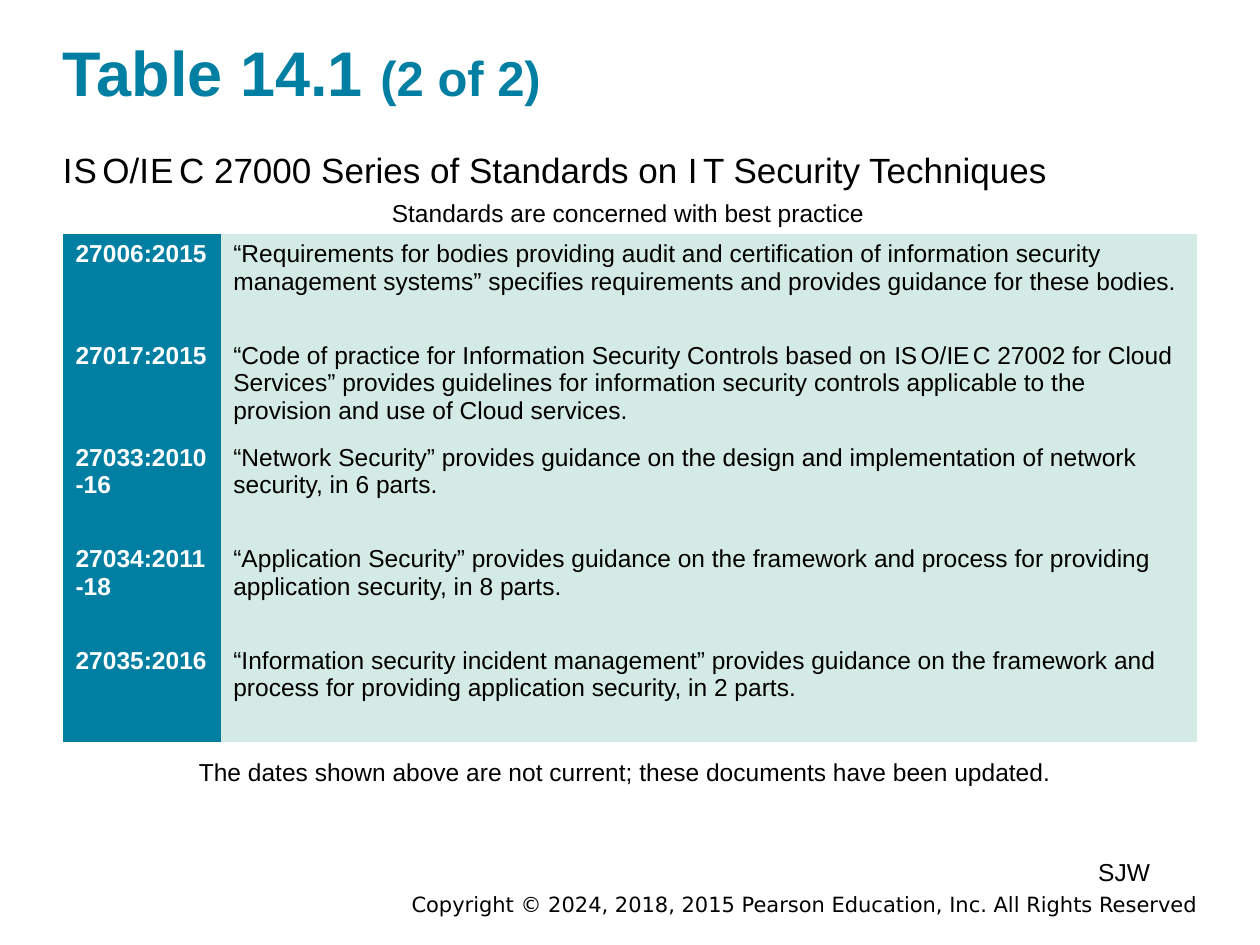
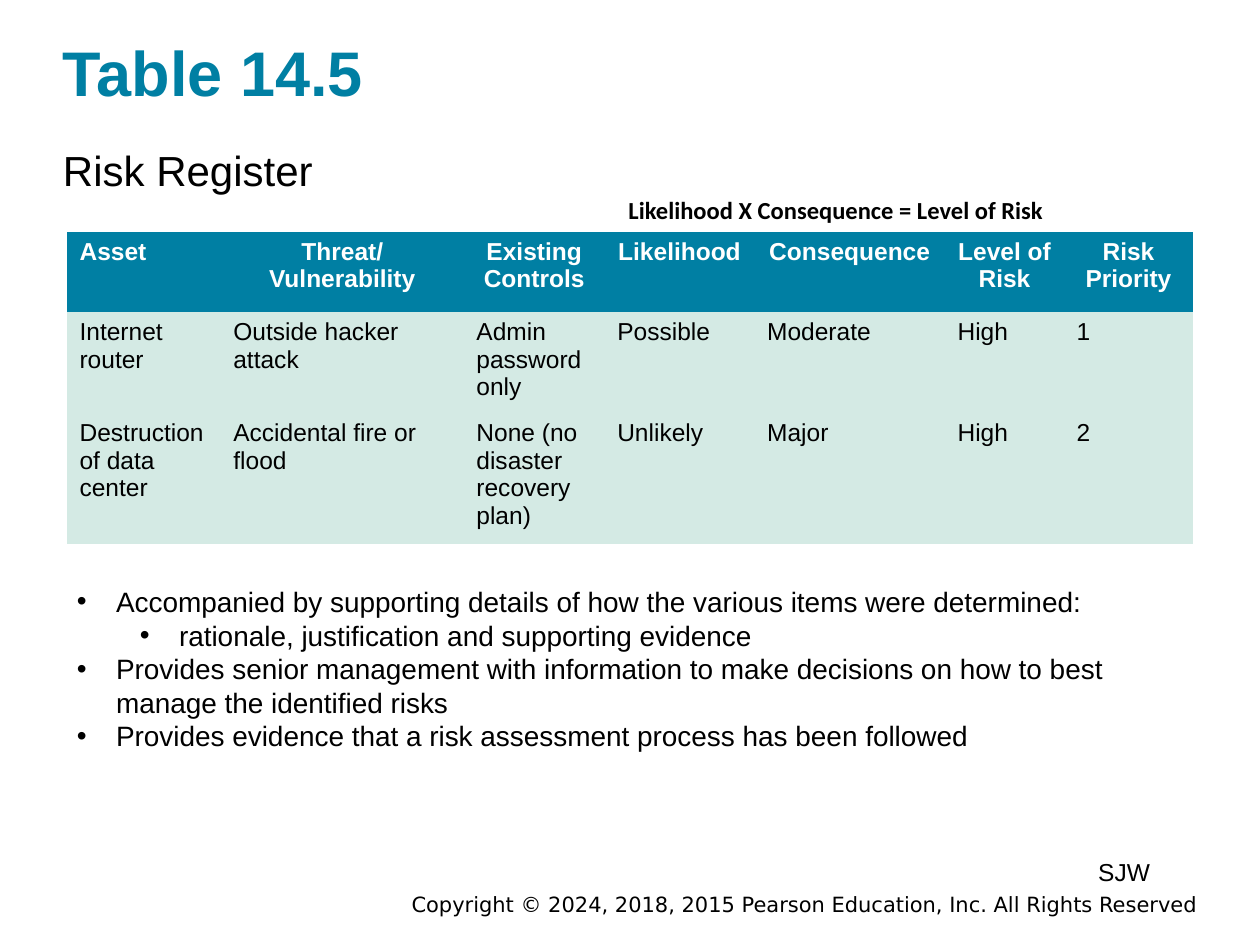
from dataclasses import dataclass
from typing import NamedTuple

from lxml.etree import SubElement
from pptx import Presentation
from pptx.dml.color import RGBColor
from pptx.enum.text import MSO_ANCHOR, PP_ALIGN
from pptx.oxml.ns import qn
from pptx.slide import Slide
from pptx.table import Table
from pptx.util import Cm, Pt


@dataclass(frozen=True)
class Theme:
    teal: str = "007FA3"
    mint: str = "D4EAE4"
    black: str = "000000"
    white: str = "FFFFFF"
    body_font: str = "Arial"
    formula_font: str = "Calibri"
    footer_font: str = "DejaVu Sans"
    title_size: int = 36
    title_part_size: int = 28
    heading_size: int = 24
    long_heading_size: int = 20
    bullet_size: int = 16
    text_size: int = 14
    footer_size: int = 12
    plain_table_style: str = "{2D5ABB26-0587-4C30-8999-92F81FD0307C}"


THEME = Theme()


class Style(NamedTuple):
    size: int = THEME.text_size
    color: str = THEME.black
    bold: bool = False
    font: str = THEME.body_font


class Piece(NamedTuple):
    text: str
    spacing: float = 0
    size: int | None = None


class Line(NamedTuple):
    pieces: tuple[Piece, ...]
    level: int = 0
    bulleted: bool = False


class Box(NamedTuple):
    left: float
    top: float
    width: float
    height: float


class Cell(NamedTuple):
    pieces: tuple[Piece, ...]
    style: Style
    fill: str
    align: PP_ALIGN = PP_ALIGN.LEFT


TITLE = Style(THEME.title_size, THEME.teal, True)
HEADER = Style(color=THEME.white, bold=True)
BODY = Style()
MARGIN = 1.27
CONTENT_WIDTH = 22.86


def plain(text: str) -> tuple[Piece, ...]:
    return (Piece(text),)


def iso_iec(spacing: float) -> tuple[Piece, ...]:
    return Piece("I S ", spacing), Piece("O/"), Piece("I E ", spacing)


def add_pieces(paragraph, pieces: tuple[Piece, ...], style: Style) -> None:
    for piece in pieces:
        run = paragraph.add_run()
        run.text = piece.text
        run.font.name = style.font
        run.font.size = Pt(piece.size or style.size)
        run.font.bold = style.bold
        run.font.color.rgb = RGBColor.from_string(style.color)
        if piece.spacing:
            run._r.get_or_add_rPr().set("spc", str(round(piece.spacing * 100)))


def add_bullet(paragraph, level: int) -> None:
    paragraph.level = level
    properties = paragraph._p.get_or_add_pPr()
    properties.set("marL", str(Cm(0.79 + 1.27 * level)))
    properties.set("indent", str(-Cm(0.79)))
    SubElement(properties, qn("a:buFont"), typeface=THEME.body_font)
    SubElement(properties, qn("a:buChar"), char="•")


def add_text(slide: Slide, box: Box, lines: tuple[Line, ...], style: Style,
             band: bool = False, wrap: bool = True,
             align: PP_ALIGN = PP_ALIGN.LEFT) -> None:
    shape = slide.shapes.add_textbox(*(Cm(length) for length in box))
    frame = shape.text_frame
    frame.word_wrap = wrap
    if band:
        frame.vertical_anchor = MSO_ANCHOR.MIDDLE
        frame.margin_left = frame.margin_right = Cm(0)
        frame.margin_top = frame.margin_bottom = Cm(0.05)
    for number, line in enumerate(lines):
        paragraph = frame.add_paragraph() if number else frame.paragraphs[0]
        paragraph.alignment = align
        if line.bulleted:
            add_bullet(paragraph, line.level)
        add_pieces(paragraph, line.pieces, style)


def add_cells(slide: Slide, left: float, top: float, widths: list[float],
              heights: list[float], rows: list[list[Cell]]) -> Table:
    table = slide.shapes.add_table(
        len(heights), len(widths), Cm(left), Cm(top), Cm(sum(widths)), Cm(sum(heights))
    ).table
    table.first_row = table.horz_banding = False
    table._tbl.tblPr.find(qn("a:tableStyleId")).text = THEME.plain_table_style
    for column, width in zip(table.columns, widths):
        column.width = Cm(width)
    for table_row, height, row in zip(table.rows, heights, rows):
        table_row.height = Cm(height)
        for table_cell, cell in zip(table_row.cells, row):
            table_cell.fill.solid()
            table_cell.fill.fore_color.rgb = RGBColor.from_string(cell.fill)
            paragraph = table_cell.text_frame.paragraphs[0]
            paragraph.alignment = cell.align
            add_pieces(paragraph, cell.pieces, cell.style)
    return table


def start_slide(presentation, title: tuple[Piece, ...],
                heading: tuple[Piece, ...], heading_size: int) -> Slide:
    slide = presentation.slides.add_slide(presentation.slide_layouts[6])
    copyright_line = "Copyright © 2024, 2018, 2015 Pearson Education, Inc. All Rights Reserved"
    add_text(slide, Box(5.84, 17.93, 18.31, 0.61), (Line(plain(copyright_line)),),
             Style(THEME.footer_size, font=THEME.footer_font),
             band=True, align=PP_ALIGN.RIGHT)
    add_text(slide, Box(MARGIN, 0.61, CONTENT_WIDTH, 1.65), (Line(title),), TITLE, band=True)
    add_text(slide, Box(MARGIN, 2.9, CONTENT_WIDTH, 1.05), (Line(heading),),
             Style(heading_size), band=True)
    add_text(slide, Box(21.89, 17.15, 1.85, 1.02), (Line(plain("SJW")),), BODY, wrap=False)
    return slide


def build_standards(presentation) -> None:
    heading = (*iso_iec(-2.5), Piece("C 27000 Series of Standards on "),
               Piece("I ", -2.5), Piece("T Security Techniques"))
    slide = start_slide(presentation,
                        (Piece("Table 14.1 "), Piece("(2 of 2)", size=THEME.title_part_size)),
                        heading, THEME.long_heading_size)
    standards = {
        "27006:2015": plain(
            "“Requirements for bodies providing audit and certification of information "
            "security management systems” specifies requirements and provides guidance "
            "for these bodies."),
        "27017:2015": (
            Piece("“Code of practice for Information Security Controls based on "),
            *iso_iec(-2),
            Piece("C 27002 for Cloud Services” provides guidelines for information security "
                  "controls applicable to the provision and use of Cloud services.")),
        "27033:2010-16": plain(
            "“Network Security” provides guidance on the design and implementation of "
            "network security, in 6 parts."),
        "27034:2011-18": plain(
            "“Application Security” provides guidance on the framework and process for "
            "providing application security, in 8 parts."),
        "27035:2016": plain(
            "“Information security incident management” provides guidance on the framework "
            "and process for providing application security, in 2 parts."),
    }
    rows = [[Cell(plain(number), HEADER, THEME.teal), Cell(summary, BODY, THEME.mint)]
            for number, summary in standards.items()]
    add_cells(slide, MARGIN, 4.72, [3.18, 19.68], [2.05] * len(rows), rows)
    add_text(slide, Box(7.65, 3.86, 10.08, 0.86),
             (Line(plain("Standards are concerned with best practice")),), BODY, wrap=False)
    update_note = "The dates shown above are not current; these documents have been updated."
    add_text(slide, Box(3.76, 15.14, 17.88, 0.86), (Line(plain(update_note)),), BODY)


def build_risk_register(presentation) -> None:
    slide = start_slide(presentation, plain("Table 14.5"), plain("Risk Register"),
                        THEME.heading_size)
    labels = ["Asset", "Threat/ Vulnerability", "Existing Controls", "Likelihood",
              "Consequence", "Level of Risk", "Risk Priority"]
    risks = [
        ["Internet router", "Outside hacker attack", "Admin password only",
         "Possible", "Moderate", "High", "1"],
        ["Destruction of data center", "Accidental fire or flood",
         "None (no disaster recovery plan)", "Unlikely", "Major", "High", "2"],
    ]
    header = [Cell(plain(label), HEADER, THEME.teal,
                   PP_ALIGN.CENTER if column else PP_ALIGN.LEFT)
              for column, label in enumerate(labels)]
    rows = [[Cell(plain(value), BODY, THEME.mint) for value in risk] for risk in risks]
    add_cells(slide, 1.35, 4.67, [3.1, 4.9, 2.84, 3.02, 3.84, 2.4, 2.6],
              [1.62, 2.03, 2.64], [header, *rows])
    points = [
        (0, "Accompanied by supporting details of how the various items were determined:"),
        (1, "rationale, justification and supporting evidence"),
        (0, "Provides senior management with information to make decisions on how to best "
            "manage the identified risks"),
        (0, "Provides evidence that a risk assessment process has been followed"),
    ]
    add_text(slide, Box(1.3, 11.66, 22.81, 3.68),
             tuple(Line(plain(text), level, True) for level, text in points),
             Style(THEME.bullet_size))
    add_text(slide, Box(12.42, 3.81, 9.3, 0.86),
             (Line(plain("Likelihood X Consequence = Level of Risk")),),
             Style(bold=True, font=THEME.formula_font))


def main() -> None:
    presentation = Presentation()
    presentation.slide_width = Cm(25.4)
    presentation.slide_height = Cm(19.05)
    build_standards(presentation)
    build_risk_register(presentation)
    presentation.save("out.pptx")


if __name__ == "__main__":
    main()
